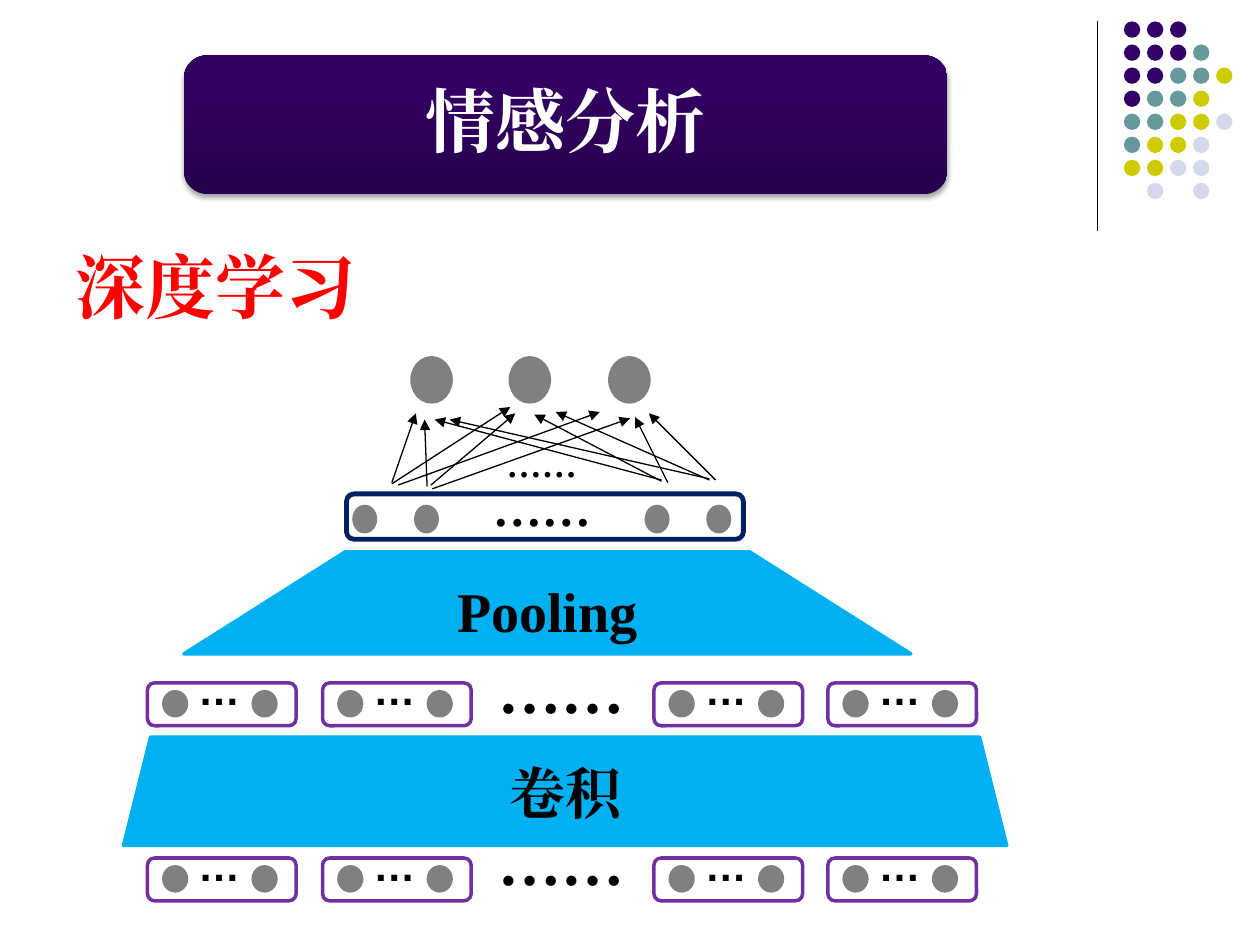
"""Build the sentiment analysis slide with a convolution and pooling network diagram."""
from lxml.etree import SubElement
from pptx import Presentation
from pptx.dml.color import RGBColor
from pptx.enum.shapes import MSO_CONNECTOR, MSO_SHAPE as SHAPE
from pptx.enum.text import MSO_ANCHOR as ANCHOR, PP_ALIGN as ALIGN
from pptx.oxml import parse_xml
from pptx.oxml.ns import nsdecls, qn
from pptx.util import Inches, Pt

COLORS = {
    "black": "000000", "white": "FFFFFF", "red": "FF0000", "gray": "808080",
    "blue": "00B0F0", "navy": "002060", "purple": "7030A0",
    "banner_dark": "26004C", "banner": "320063",
    "P": "330066", "T": "669999", "Y": "CCCC00", "L": "D8D8EC",
}
RGB = {name: RGBColor.from_string(value) for name, value in COLORS.items()}

prs = Presentation()
prs.slide_width, prs.slide_height = Inches(10), Inches(7.5)
s = prs.slides.add_slide(prs.slide_layouts[6])


def add_shape(kind, x, y, w, h, fill=None, line=None, width=2):
    sp = s.shapes.add_shape(kind, Inches(x), Inches(y), Inches(w), Inches(h))
    sp.shadow.inherit = False
    if fill:
        sp.fill.solid()
        sp.fill.fore_color.rgb = RGB[fill]
    else:
        sp.fill.background()
    if line:
        sp.line.color.rgb = RGB[line]
        sp.line.width = Pt(width)
    else:
        sp.line.fill.background()
    return sp


def add_text(text, box=None, sp=None, size=32, font="Times New Roman", color="black",
             align=ALIGN.CENTER, anchor=ANCHOR.MIDDLE, margin=0, spacing=None, gap=0):
    sp = sp or s.shapes.add_textbox(*[Inches(v) for v in box])
    tf = sp.text_frame
    tf.word_wrap = True
    tf.vertical_anchor = anchor
    tf.margin_left = tf.margin_right = Inches(margin)
    tf.margin_top = tf.margin_bottom = Inches(margin / 2)
    for i, line in enumerate(text.split("\n")):
        p = tf.add_paragraph() if i else tf.paragraphs[0]
        p.alignment = align
        if spacing:
            p.line_spacing = spacing
        if i:
            p.space_before = Pt(gap)
        r = p.add_run()
        r.text = line
        r.font.size, r.font.name, r.font.bold = Pt(size), font, True
        r.font.color.rgb = RGB[color]
        SubElement(r.font._element, qn("a:ea"), typeface=font)


DOT_ROWS = ["PPP", "PPPT", "PPTTY", "PTTY", "TTYYL", "TYYL", "YYLL", " L L"]
for row, codes in enumerate(DOT_ROWS):
    for col, code in enumerate(codes):
        if code != " ":
            add_shape(SHAPE.OVAL, 8.92 + 0.183 * col, 0.17 + 0.183 * row, 0.13, 0.13, code)

add_text("深度学习", (0.5, 1.88, 9, 4.82), size=40, color="red",
         align=ALIGN.LEFT, anchor=ANCHOR.TOP, margin=0.1)

banner = add_shape(SHAPE.ROUNDED_RECTANGLE, 1.46, 0.44, 6.06, 1.1)
banner.fill.gradient()
banner.fill.gradient_angle = 90
for stop, name, position in zip(banner.fill.gradient_stops, ("banner_dark", "banner"), (0, 0.8)):
    stop.color.rgb = RGB[name]
    stop.position = position
effects = banner._element.spPr.find(qn("a:effectLst"))
effects.append(parse_xml(
    f'<a:outerShdw {nsdecls("a")} blurRad="39370" dist="22860" dir="5400000" rotWithShape="0">'
    '<a:srgbClr val="000000"><a:alpha val="35000"/></a:srgbClr></a:outerShdw>'))
add_text("情感分析", sp=banner, size=40, color="white", margin=0.17, spacing=0.9)

for x in (2.81, 3.3, 5.13, 5.62):
    add_shape(SHAPE.OVAL, x, 4.02, 0.17, 0.2, "gray", "gray")
add_text("……", (3.79, 3.92, 1.02, 0.2), size=28)
add_shape(SHAPE.ROUNDED_RECTANGLE, 2.75, 3.92, 3.15, 0.36, line="navy", width=2.75)
for x in (3.27, 4.05, 4.84):
    add_shape(SHAPE.OVAL, x, 2.84, 0.31, 0.35, "gray", "gray")
add_text("……", (3.91, 3.59, 0.78, 0.17), size=20)

pooling = add_shape(SHAPE.TRAPEZOID, 1.46, 4.38, 5.77, 0.81, "blue", "blue")
pooling.adjustments[0] = 1.58
add_text("Pooling", sp=pooling)
convolution = add_shape(SHAPE.TRAPEZOID, 0.98, 5.85, 7.01, 0.86, "blue", "blue")
add_text("卷积", sp=convolution)

for y in (5.42, 6.81):
    for x in (1.17, 2.56, 5.19, 6.57):
        for dx in (0.13, 0.84):
            add_shape(SHAPE.OVAL, x + dx, y + 0.07, 0.18, 0.19, "gray", "gray")
        add_text("…", (x + 0.38, y - 0.05, 0.38, 0.2), size=24, font="Arial")
        add_shape(SHAPE.ROUNDED_RECTANGLE, x, y, 1.18, 0.34, line="purple")
add_text("……\n……", (3.63, 5.47, 1.65, 1.35), size=36, gap=55)

DIVIDER = (8.71, 0.17, 8.71, 1.83)
ARROWS = [
    (3.11, 3.83, 3.3, 3.28), (3.39, 3.86, 3.37, 3.33), (3.11, 3.84, 4.05, 3.23),
    (3.16, 3.85, 4.76, 3.27), (3.42, 3.85, 4.09, 3.28), (3.43, 3.88, 5, 3.32),
    (5.63, 3.8, 3.57, 3.33), (5.63, 3.81, 4.41, 3.27), (5.68, 3.81, 5.15, 3.28),
    (5.25, 3.81, 3.45, 3.33), (5.25, 3.82, 4.24, 3.29), (5.3, 3.83, 5.04, 3.31),
]
for ends in [DIVIDER] + ARROWS:
    line = s.shapes.add_connector(MSO_CONNECTOR.STRAIGHT, *[Inches(v) for v in ends])
    line.line.color.rgb = RGB["black"]
    line.line.width = Pt(0.75)
    if ends != DIVIDER:
        SubElement(line.line._get_or_add_ln(), qn("a:tailEnd"), type="triangle")
    SubElement(line._element.spPr, qn("a:effectLst"))

prs.save("out.pptx")
